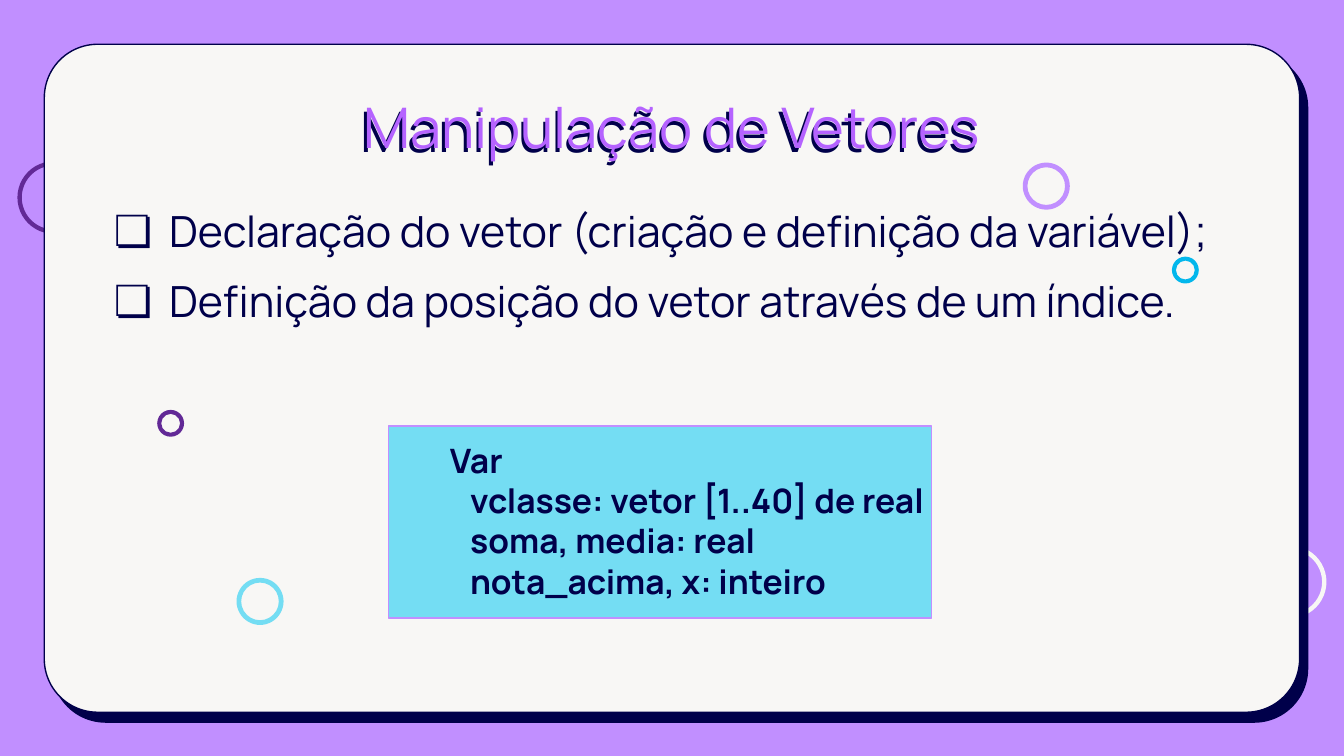
from lxml import etree
from pptx import Presentation
from pptx import util as u
from pptx.dml.color import RGBColor
from pptx.enum import shapes, text
from pptx.oxml.ns import qn

LILAC = RGBColor(0xC1, 0x8F, 0xFF)
VIOLET = RGBColor(0xB5, 0x63, 0xFF)
PURPLE = RGBColor(0x62, 0x29, 0x96)
NAVY = RGBColor(0x00, 0x00, 0x4A)
OFF_WHITE = RGBColor(0xF8, 0xF7, 0xF5)
CYAN = RGBColor(0x74, 0xDD, 0xF3)
BLUE = RGBColor(0x03, 0xB7, 0xEC)


class Deck:
    """Slide style, with one method for each kind of element."""

    font = "Manrope"

    def __init__(self, slide):
        self.slide = slide

    def shape(self, kind, box, fill, line=None, corner=None):
        item = self.slide.shapes.add_shape(kind, *map(u.Inches, box))
        item.shadow.inherit = False
        item.fill.solid()
        item.fill.fore_color.rgb = fill
        if line is None:
            item.line.fill.background()
        else:
            item.line.color.rgb = line
            item.line.width = u.Pt(0.75)
        if corner is not None:
            item.adjustments[0] = corner
        return item

    def ring(self, left, top, size, color, band):
        return self.shape(shapes.MSO_SHAPE.DONUT, (left, top, size, size),
                          color, corner=band)

    def text(self, box, lines, size, color=NAVY, bold=False, align=None):
        item = self.slide.shapes.add_textbox(*map(u.Inches, box))
        frame = item.text_frame
        frame.word_wrap = True
        frame.margin_left = frame.margin_right = u.Inches(0.1)
        frame.margin_top = frame.margin_bottom = u.Inches(0.1)
        frame.text = "\n".join(lines)
        for paragraph in frame.paragraphs:
            paragraph.alignment = align
            for run in paragraph.runs:
                run.font.name = self.font
                run.font.size = u.Pt(size)
                run.font.bold = bold
                run.font.color.rgb = color
        return item

    def bullets(self, box, lines, size, mark):
        item = self.text(box, lines, size, align=text.PP_ALIGN.JUSTIFY)
        for number, paragraph in enumerate(item.text_frame.paragraphs):
            if number:
                paragraph.space_before = u.Pt(10)
            props = paragraph._p.get_or_add_pPr()
            props.set("marL", str(u.Inches(0.5)))
            props.set("indent", str(u.Inches(-0.41)))
            color = etree.SubElement(props, qn("a:buClr"))
            etree.SubElement(color, qn("a:srgbClr"), val=str(NAVY))
            etree.SubElement(props, qn("a:buFont"), typeface=self.font)
            etree.SubElement(props, qn("a:buChar"), char=mark)
        return item

    def hard_shadow(self, item, distance, degrees):
        item.shadow.inherit = False
        effects = item._element.spPr.find(qn("a:effectLst"))
        shadow = etree.SubElement(
            effects, qn("a:outerShdw"), blurRad="0", dist=str(u.Pt(distance)),
            dir=str(degrees * 60000), algn="bl", rotWithShape="0")
        etree.SubElement(shadow, qn("a:srgbClr"), val=str(NAVY))


def main():
    prs = Presentation()
    # Widescreen, 16:9
    prs.slide_width, prs.slide_height = u.Inches(10), u.Inches(10 * 9 / 16)
    slide = prs.slides.add_slide(prs.slide_layouts[6])
    slide.background.fill.solid()
    slide.background.fill.fore_color.rgb = LILAC
    deck = Deck(slide)

    # Rings behind the card, then the card
    deck.ring(9.33, 4.06, 0.54, OFF_WHITE, 0.06)
    deck.ring(0.13, 1.2, 0.54, PURPLE, 0.06)
    card = deck.shape(shapes.MSO_SHAPE.ROUNDED_RECTANGLE,
                      (0.33, 0.33, 9.34, 4.97), OFF_WHITE, NAVY, 0.08)
    deck.hard_shadow(card, 6.8, 51)

    # Title
    title = deck.text((0.78, 0.59, 8.44, 0.67), ["Manipulação de Vetores"],
                      30, VIOLET, align=text.PP_ALIGN.CENTER)
    deck.hard_shadow(title, 2.5, 120)

    # Rings on the card
    deck.ring(7.61, 1.21, 0.35, LILAC, 0.1)
    deck.ring(8.72, 1.91, 0.2, BLUE, 0.15)
    deck.ring(1.76, 4.3, 0.35, CYAN, 0.1)
    deck.ring(1.17, 3.05, 0.2, PURPLE, 0.15)

    # Steps
    deck.bullets((0.66, 1.42, 8.7, 3.49), [
        "Declaração do vetor (criação e definição da variável);",
        "Definição da posição do vetor através de um índice.",
    ], 23, "❏")

    # Code example
    deck.shape(shapes.MSO_SHAPE.RECTANGLE, (2.89, 3.17, 4.04, 1.43),
               CYAN, LILAC)
    deck.text((3.25, 3.17, 4.04, 1.01), [
        "Var",
        "   vclasse: vetor [1..40] de real",
        "   soma, media: real",
        "   nota_acima, x: inteiro",
    ], 18, bold=True)

    prs.save("out.pptx")


if __name__ == "__main__":
    main()
